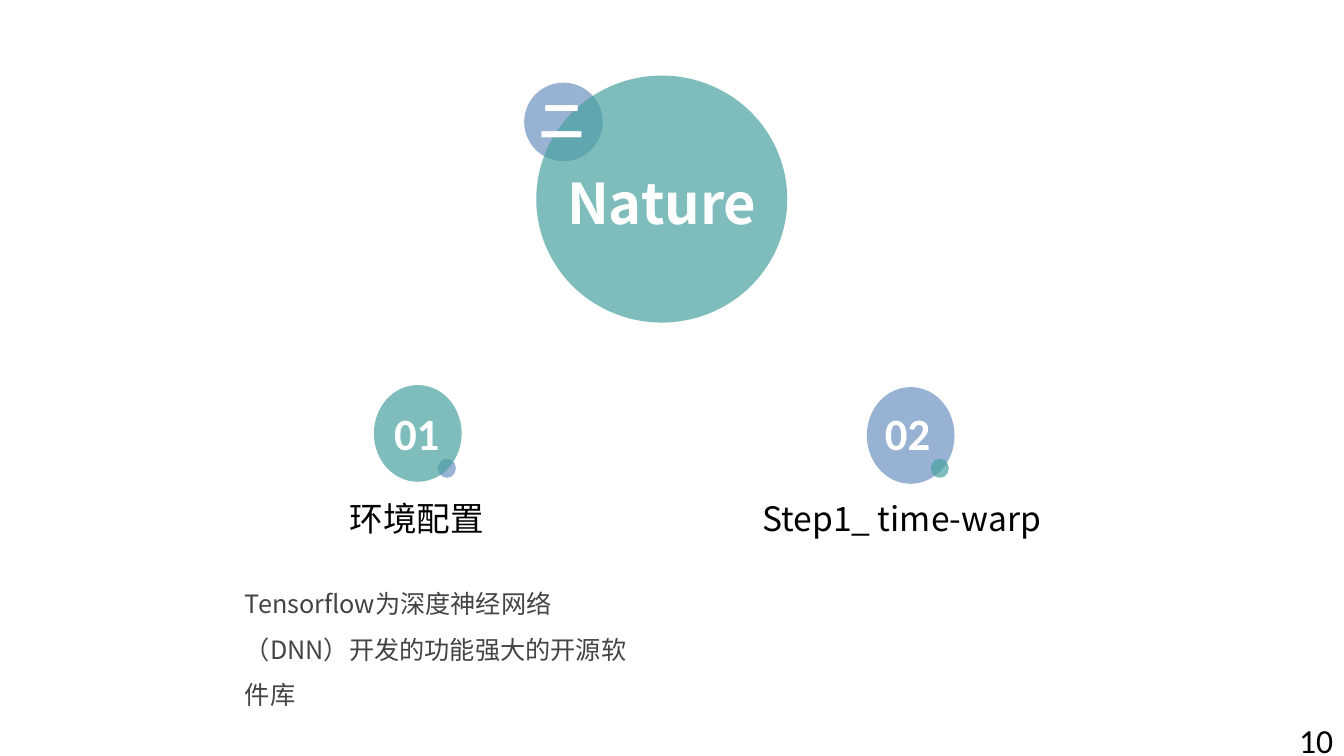
import pptx
import pptx.dml.color
import pptx.enum.shapes
import pptx.enum.text
import pptx.oxml.ns
import pptx.oxml.xmlchemy
import pptx.util

COLUMNS, ROWS = 40, 22.5
CELL = pptx.util.Inches(1 / 3)
COLORS = {
    "teal": "48A2A0",
    "blue": "6C92C0",
    "white": "FFFFFF",
    "black": "000000",
    "gray": "444444",
}
CHINESE_FONT = "Noto Sans CJK SC"
NUMBER_FONT = "Calibri"


def color(name):
    return pptx.dml.color.RGBColor.from_string(COLORS[name])


def cells(*counts):
    """Turn counts of grid cells into lengths."""
    return [round(count * CELL) for count in counts]


def add_circle(slide, box, fill):
    """Add a borderless ellipse with 70 % opacity."""
    circle = slide.shapes.add_shape(
        pptx.enum.shapes.MSO_SHAPE.OVAL, *cells(*box))
    circle.shadow.inherit = False
    circle.line.fill.background()
    circle.fill.solid()
    circle.fill.fore_color.rgb = color(fill)
    color_element = circle.element.spPr.find(".//" + pptx.oxml.ns.qn("a:srgbClr"))
    alpha = pptx.oxml.xmlchemy.OxmlElement("a:alpha")
    alpha.set("val", "70000")
    color_element.append(alpha)


def write_text(shape, text, size=24, font=CHINESE_FONT, fill="black", bold=False,
               align="LEFT", wrap=True, spacing=1.0):
    frame = shape.text_frame
    frame.word_wrap = wrap
    frame.auto_size = pptx.enum.text.MSO_AUTO_SIZE.NONE
    frame.vertical_anchor = pptx.enum.text.MSO_ANCHOR.TOP
    paragraph = frame.paragraphs[0]
    paragraph.alignment = pptx.enum.text.PP_ALIGN[align]
    paragraph.line_spacing = spacing
    paragraph.space_before = pptx.util.Pt(0)
    run = paragraph.add_run()
    run.text = text
    run.font.size = pptx.util.Pt(size)
    run.font.bold = bold
    run.font.color.rgb = color(fill)
    run.font.name = font
    east_asian = pptx.oxml.xmlchemy.OxmlElement("a:ea")
    east_asian.set("typeface", font)
    run._r.get_or_add_rPr().find(pptx.oxml.ns.qn("a:latin")).addnext(east_asian)


def add_text(slide, box, text, **text_format):
    write_text(slide.shapes.add_textbox(*cells(*box)), text, **text_format)


def fill_placeholder(placeholder, box, text, **text_format):
    """Move a placeholder to the box and in front of the shapes drawn so far."""
    placeholder.left, placeholder.top, placeholder.width, placeholder.height = cells(*box)
    placeholder.element.getparent().append(placeholder.element)
    write_text(placeholder, text, **text_format)


def remove_bullet(placeholder):
    properties = placeholder.text_frame.paragraphs[0]._p.get_or_add_pPr()
    properties.set("marL", "0")
    properties.set("indent", "0")
    properties.append(pptx.oxml.xmlchemy.OxmlElement("a:buNone"))


def add_topic(slide, number, label, label_box, circle_corner, number_column,
              fill, dot_fill, dot_in_front):
    column, row = circle_corner
    circles = [((column + 1.9, 13.65, 0.54, 0.57), dot_fill),
               ((column, row, 2.61, 2.88), fill)]
    for box, circle_fill in reversed(circles) if dot_in_front else circles:
        add_circle(slide, box, circle_fill)
    add_text(slide, (number_column, 11.94, 2.13, 1.92), number, size=32,
             font=NUMBER_FONT, fill="white", bold=True, align="CENTER")
    add_text(slide, label_box, label, align="CENTER", wrap=False)


def main():
    presentation = pptx.Presentation()
    presentation.slide_width, presentation.slide_height = cells(COLUMNS, ROWS)
    slide = presentation.slides.add_slide(presentation.slide_layouts[1])
    title, body = slide.placeholders

    add_circle(slide, (15.6, 2.46, 2.34, 2.34), "blue")
    add_circle(slide, (15.96, 2.25, 7.47, 7.35), "teal")
    fill_placeholder(title, (15.09, 4.86, 9.21, 2.1), "Nature", size=40,
                     fill="white", bold=True, align="CENTER")
    add_text(slide, (15.6, 2.61, 2.28, 1.92), "二", size=32, fill="white",
             bold=True, align="CENTER")

    add_topic(slide, "01", "环境配置", (10.08, 14.67, 4.65, 1.5),
              (11.13, 11.46), 11.34, "teal", "blue", dot_in_front=False)
    add_topic(slide, "02", "Step1_ time-warp", (22.29, 14.67, 9.09, 1.5),
              (25.8, 11.52), 25.95, "blue", "teal", dot_in_front=True)

    fill_placeholder(body, (6.99, 16.92, 12.57, 2.88),
                     "Tensorflow为深度神经网络（DNN）开发的功能强大的开源软件库",
                     size=18, fill="gray", spacing=1.5)
    remove_bullet(body)
    add_text(slide, (38.37, 21.27, 2.79, 1.5), "10", font=NUMBER_FONT)

    presentation.save("out.pptx")


if __name__ == "__main__":
    main()
